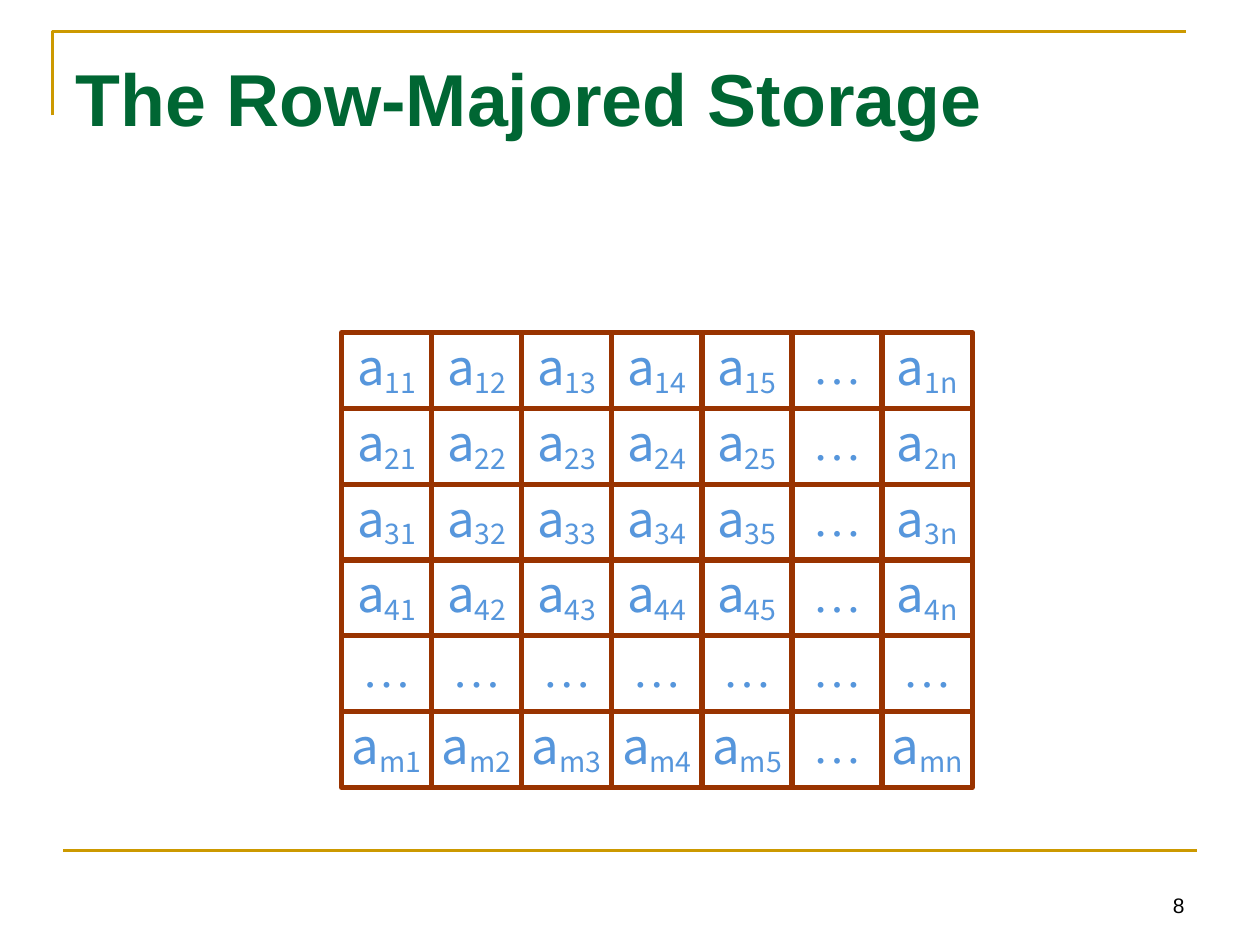
from dataclasses import dataclass

from lxml.etree import SubElement
from pptx import Presentation
from pptx.dml.color import RGBColor
from pptx.enum.shapes import MSO_CONNECTOR as Connector, MSO_SHAPE as Preset
from pptx.enum.text import MSO_ANCHOR as Anchor, PP_ALIGN as Align
from pptx.oxml.ns import qn
from pptx.util import Pt

GOLD = "CC9900"
BROWN = "993300"
BLUE = "5696DC"
GRID_LEFT, GRID_TOP = 195.2, 190.1
CELL_WIDTH, CELL_HEIGHT = 51.48, 43.32
ROW_NAMES = ["1", "2", "3", "4", "…", "m"]
COLUMN_NAMES = ["1", "2", "3", "4", "5", "…", "n"]


@dataclass
class Cell:
    row: int
    column: int
    subscript: str


def color(value: str) -> RGBColor:
    return RGBColor.from_string(value)


def add_text(paragraph, text: str, *, size: float, font: str, fill: str,
             bold: bool = False, baseline: int = 0) -> None:
    run = paragraph.add_run()
    run.text = text
    run.font.size = Pt(size)
    run.font.name = font
    run.font.bold = bold
    run.font.color.rgb = color(fill)
    properties = run._r.get_or_add_rPr()
    SubElement(properties, qn("a:ea"), typeface=font)
    if baseline:
        properties.set("baseline", str(baseline * 1000))


def add_box(slide, left: float, top: float, width: float, height: float):
    shape = slide.shapes.add_textbox(Pt(left), Pt(top), Pt(width), Pt(height))
    shape.text_frame.word_wrap = True
    return shape.text_frame


def add_frame_lines(slide) -> None:
    builder = slide.shapes.build_freeform(Pt(30), Pt(66))
    builder.add_line_segments([(Pt(30), Pt(18)), (Pt(678), Pt(18))], close=False)
    corner = builder.convert_to_shape()
    corner.shadow.inherit = False
    corner.fill.background()
    footer = slide.shapes.add_connector(
        Connector.STRAIGHT, Pt(36), Pt(486), Pt(684), Pt(486))
    SubElement(footer._element.spPr, qn("a:effectLst"))
    for shape in (corner, footer):
        shape.line.color.rgb = color(GOLD)
        shape.line.width = Pt(1.5)


def add_cell(slide, cell: Cell) -> None:
    shape = slide.shapes.add_shape(
        Preset.RECTANGLE,
        Pt(GRID_LEFT + cell.column * CELL_WIDTH),
        Pt(GRID_TOP + cell.row * CELL_HEIGHT),
        Pt(CELL_WIDTH), Pt(CELL_HEIGHT))
    shape.shadow.inherit = False
    shape.fill.solid()
    shape.fill.fore_color.rgb = color("FFFFFF")
    shape.line.color.rgb = color(BROWN)
    shape.line.width = Pt(3)
    frame = shape.text_frame
    frame.word_wrap = False
    frame.vertical_anchor = Anchor.MIDDLE
    paragraph = frame.paragraphs[0]
    paragraph.alignment = Align.CENTER
    paragraph.line_spacing = 0.8
    properties = paragraph._p.get_or_add_pPr()
    properties.set("marL", str(Pt(27)))
    properties.set("indent", str(Pt(-27)))
    space_before = SubElement(properties, qn("a:spcBef"))
    SubElement(space_before, qn("a:spcPct"), val="20000")
    if "…" in cell.subscript:
        add_text(paragraph, "…", size=28, font="Times New Roman", fill=BLUE)
    else:
        letter = {"size": 28, "font": "Noto Sans CJK SC", "fill": BLUE}
        add_text(paragraph, "a", **letter)
        add_text(paragraph, cell.subscript, baseline=-16, **letter)


def main() -> None:
    presentation = Presentation()
    presentation.slide_width, presentation.slide_height = Pt(720), Pt(540)
    slide = presentation.slides.add_slide(presentation.slide_layouts[6])
    add_frame_lines(slide)

    title = add_box(slide, 36, 21.6, 648, 90)
    title.margin_top = Pt(8.8)
    add_text(title.paragraphs[0], "The Row-Majored Storage",
             size=42, font="Arial", fill="006633", bold=True)

    number = add_box(slide, 516, 492, 168, 36)
    number.vertical_anchor = Anchor.BOTTOM
    number.paragraphs[0].alignment = Align.RIGHT
    add_text(number.paragraphs[0], "8", size=12, font="Arial", fill="000000")

    for row, row_name in enumerate(ROW_NAMES):
        for column, column_name in enumerate(COLUMN_NAMES):
            add_cell(slide, Cell(row, column, row_name + column_name))

    presentation.save("out.pptx")


if __name__ == "__main__":
    main()
